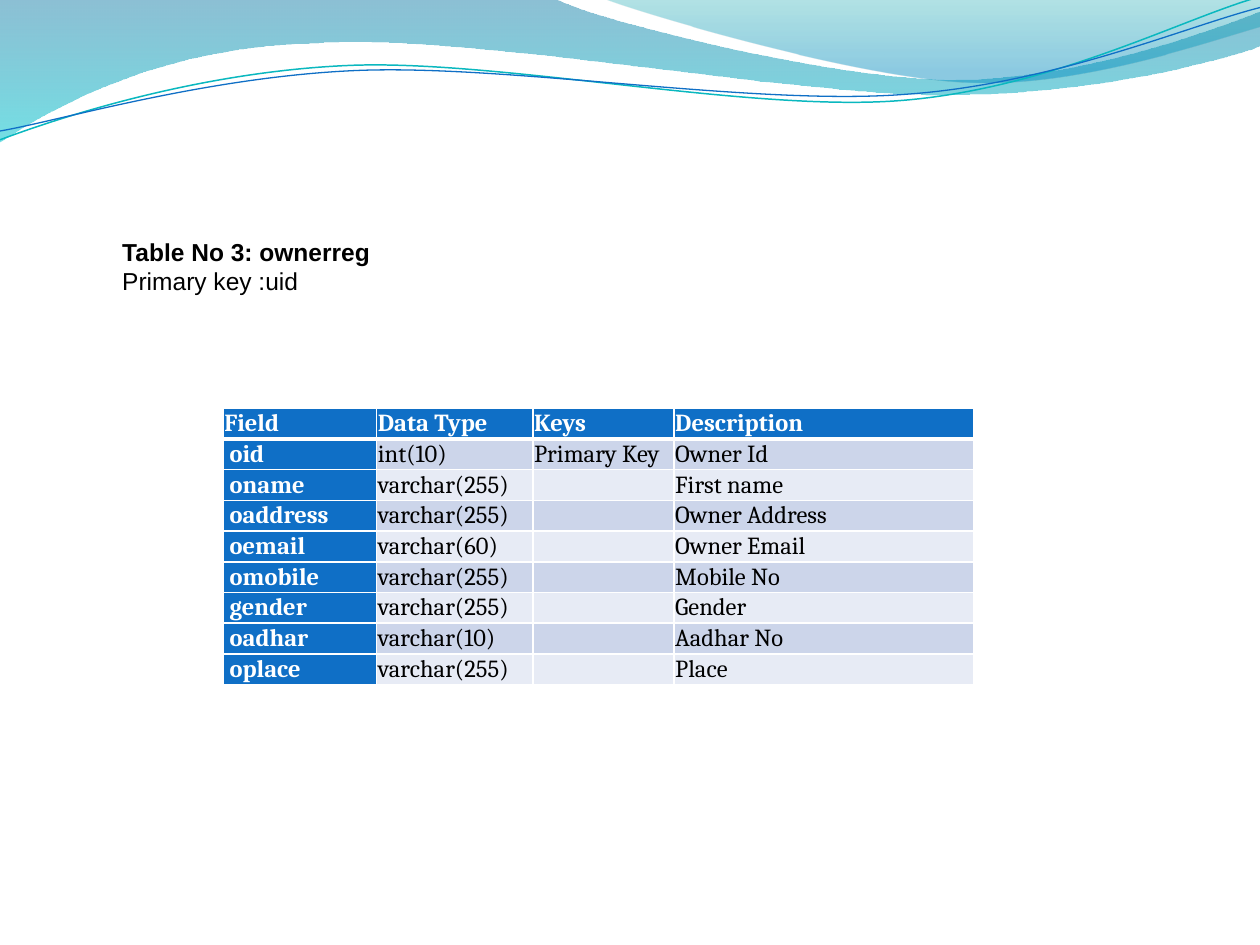
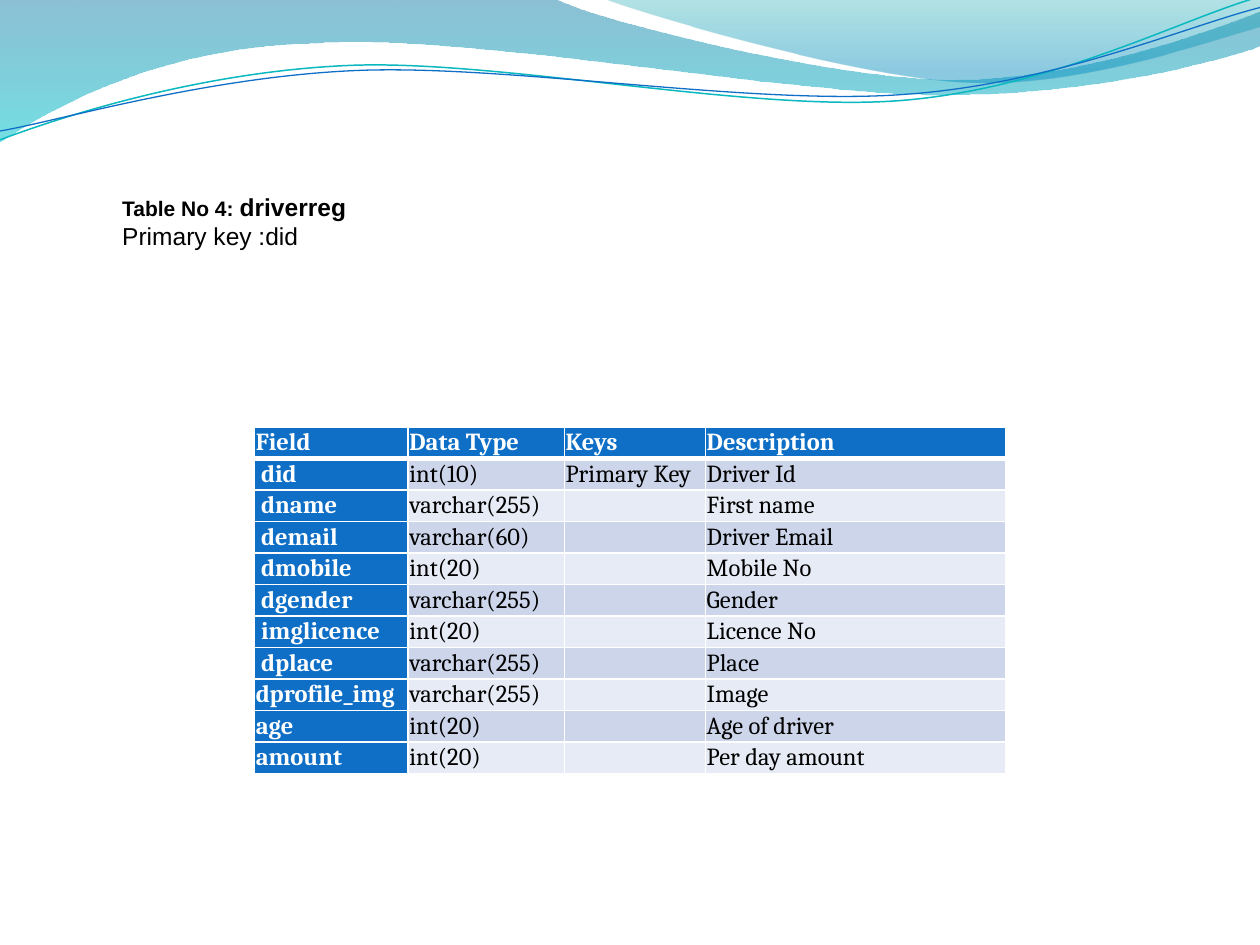
"""Build two database table slides under a shared wave header."""
from lxml import etree
from pptx import Presentation
from pptx import util as u
from pptx.dml.color import RGBColor
from pptx.enum import text
from pptx.oxml.ns import qn

BLUE = RGBColor(0x0F, 0x6F, 0xC6)
TEAL = RGBColor(0x0A, 0xB8, 0xBF)
BANDS = RGBColor(0xCC, 0xD5, 0xEA), RGBColor(0xE7, 0xEB, 0xF5)
WHITE = RGBColor(0xFF, 0xFF, 0xFF)
BLACK = RGBColor(0, 0, 0)
DEEP = RGBColor(0x00, 0x74, 0xA1)
AQUA = RGBColor(0x00, 0xC6, 0xCF)
SEA = RGBColor(0x00, 0xA1, 0xA9)
SKY = RGBColor(0x00, 0x8B, 0xBF)

SWELLS = [
    ([(0, 0), (4.4, -0.01), (4.76, 0.17, 6.64, 0.63, 7.58, 0.63),
      (8.53, 0.63, 9.58, 0.26, 10, 0.09), (10.01, 0.36),
      (9.83, 0.44, 8.7, 0.76, 7.46, 0.75), (6.22, 0.75, 3.82, 0.28, 2.57, 0.34),
      (1.29, 0.36, 0.46, 0.83, -0.01, 1.13), (0, 0)],
     [(0, DEEP, 45), (1, AQUA, 55)]),
    ([(4.79, -0.01), (5.09, 0.11, 6.82, 0.62, 7.69, 0.65),
      (8.56, 0.69, 9.61, 0.32, 10, 0.21), (10, 0), (4.79, -0.01)],
     [(0, SEA, 30), (0.8, SKY, 45)]),
]
STRANDS = [
    ([(0, 1.11), (0.48, 0.93, 1.58, 0.57, 2.77, 0.52),
      (3.95, 0.47, 5.93, 0.89, 7.13, 0.8), (8.33, 0.71, 9.38, 0.15, 9.98, -0.02)],
     TEAL, 0.85),
    ([(0, 1.04), (0.47, 0.96, 1.64, 0.61, 2.83, 0.56),
      (4.03, 0.51, 5.97, 0.84, 7.17, 0.75), (8.36, 0.67, 9.41, 0.21, 10, 0.06)],
     BLUE, 0.75),
]

HEAD = ("Field", "Data Type", "Keys", "Description")
COLS = (1.22, 1.24, 1.12, 2.38)
PAGES = [
    {"title": [("Table No 3: ", 14), ("ownerreg", 14)], "key": "Primary key :uid",
     "top": 1.88, "grid": (1.77, 3.24), "row": 0.24, "rows": [
        (" oid", "int(10)", "Primary Key", "Owner Id"),
        (" oname", "varchar(255)", "", "First name"),
        (" oaddress", "varchar(255)", "", "Owner Address"),
        (" oemail", "varchar(60)", "", "Owner Email"),
        (" omobile", "varchar(255)", "", "Mobile No"),
        (" gender", "varchar(255)", "", "Gender"),
        (" oadhar", "varchar(10)", "", "Aadhar No"),
        (" oplace", "varchar(255)", "", "Place")]},
    {"title": [("Table No 4: ", 12), ("driverreg", 14)], "key": "Primary key :did",
     "top": 1.52, "grid": (2.02, 3.39), "row": 0.25, "rows": [
        (" did", "int(10)", "Primary Key", "Driver Id"),
        (" dname", "varchar(255)", "", "First name"),
        (" demail", "varchar(60)", "", "Driver Email"),
        (" dmobile", "int(20)", "", "Mobile No"),
        (" dgender", "varchar(255)", "", "Gender"),
        (" imglicence", "int(20)", "", "Licence No"),
        (" dplace", "varchar(255)", "", "Place"),
        ("dprofile_img", "varchar(255)", "", "Image"),
        ("age", "int(20)", "", "Age of driver"),
        ("amount", "int(20)", "", "Per day amount")]},
]


def style(run, face, size, color, bold):
    font = run.font
    font.name, font.size, font.bold = face, u.Pt(size), bold
    font.color.rgb = color


def inset(box, gap):
    box.margin_left = box.margin_right = u.Inches(gap)
    box.margin_top = box.margin_bottom = u.Inches(gap)


def trace(slide, steps):
    pairs = [pair for step in steps for pair in zip(step[::2], step[1::2])]
    spots = [(x * 100, y * 100) for x, y in pairs]
    pen = slide.shapes.build_freeform(*spots[0], scale=u.Inches(0.01))
    pen.add_line_segments(spots[1:], close=steps[0] == steps[-1])
    wave = pen.convert_to_shape()
    lines = iter(list(wave.element.iter(qn("a:lnTo"))))
    for step in steps[1:]:
        first = next(lines)
        if len(step) == 6:
            first.tag = qn("a:cubicBezTo")
            for _ in range(2):
                rest = next(lines)
                first.append(rest[0])
                rest.getparent().remove(rest)
    wave.shadow.inherit = False
    return wave


def add_waves(slide):
    layout = slide.slide_layout
    for holder in list(layout.placeholders):
        if holder.placeholder_format.idx:
            holder.element.getparent().remove(holder.element)
    waves = []
    for steps, stops in SWELLS:
        wave = trace(slide, steps)
        wave.line.fill.background()
        wave.fill.gradient()
        wave.fill.gradient_angle = 270
        for stop, (place, color, _) in zip(wave.fill.gradient_stops, stops):
            stop.position, stop.color.rgb = place, color
        for node, (_, _, alpha) in zip(wave.element.iter(qn("a:srgbClr")), stops):
            etree.SubElement(node, qn("a:alpha"), val=str(alpha * 1000))
        waves.append(wave)
    for steps, color, width in STRANDS:
        wave = trace(slide, steps)
        wave.fill.background()
        wave.line.color.rgb, wave.line.width = color, u.Pt(width)
        waves.append(wave)
    for wave in waves:
        layout.shapes.element.append(wave.element)


def add_title(slide, page):
    title = slide.shapes.title
    title.left, title.top = u.Inches(0.97), u.Inches(page["top"])
    title.width, title.height = u.Inches(8.5), u.Inches(0.5)
    frame = title.text_frame
    frame.auto_size = text.MSO_AUTO_SIZE.NONE
    frame.vertical_anchor = text.MSO_ANCHOR.TOP
    inset(frame, 0)
    name, key = frame.paragraphs[0], frame.add_paragraph()
    for words, size in page["title"]:
        run = name.add_run()
        run.text = words
        style(run, "Arial", size, BLACK, True)
    key.text = page["key"]
    style(key.runs[0], "Arial", 14, BLACK, False)
    name.alignment = key.alignment = text.PP_ALIGN.LEFT


def add_rules(frame):
    for r, row in enumerate(frame.element.iter(qn("a:tr"))):
        widths = {"L": 1, "R": 1, "T": 3 if r == 1 else 1, "B": 1 if r else 3}
        for props in row.iter(qn("a:tcPr")):
            for i, (side, width) in enumerate(widths.items()):
                rule = etree.Element(qn("a:ln" + side), w=str(u.Pt(width)))
                fill = etree.SubElement(rule, qn("a:solidFill"))
                etree.SubElement(fill, qn("a:srgbClr"), val=str(WHITE))
                props.insert(i, rule)
    for line in frame.element.iter(qn("a:p")):
        if line.find(qn("a:r")) is None:
            etree.SubElement(line, qn("a:endParaRPr"), sz="1200")


def add_grid(slide, page):
    rows = [HEAD] + page["rows"]
    left, top = page["grid"]
    frame = slide.shapes.add_table(
        len(rows), len(COLS), u.Inches(left), u.Inches(top),
        u.Inches(sum(COLS)), u.Inches(page["row"] * len(rows)))
    grid = frame.table
    for col, width in zip(grid.columns, COLS):
        col.width = u.Inches(width)
    for r, row in enumerate(rows):
        grid.rows[r].height = u.Inches(page["row"])
        for c, words in enumerate(row):
            cell = grid.cell(r, c)
            label = r == 0 or c == 0
            inset(cell, 0.01)
            cell.vertical_anchor = text.MSO_ANCHOR.MIDDLE
            cell.fill.solid()
            cell.fill.fore_color.rgb = BLUE if label else BANDS[(r - 1) % 2]
            cell.text_frame.text = words
            for run in cell.text_frame.paragraphs[0].runs:
                style(run, "Cambria", 14, WHITE if label else BLACK, label)
    add_rules(frame)


deck = Presentation()
deck.slide_width, deck.slide_height = u.Inches(10), u.Inches(7.5)
for n, page in enumerate(PAGES):
    slide = deck.slides.add_slide(deck.slide_layouts.get_by_name("Title Only"))
    if n == 0:
        add_waves(slide)
    add_title(slide, page)
    add_grid(slide, page)
deck.save("out.pptx")
